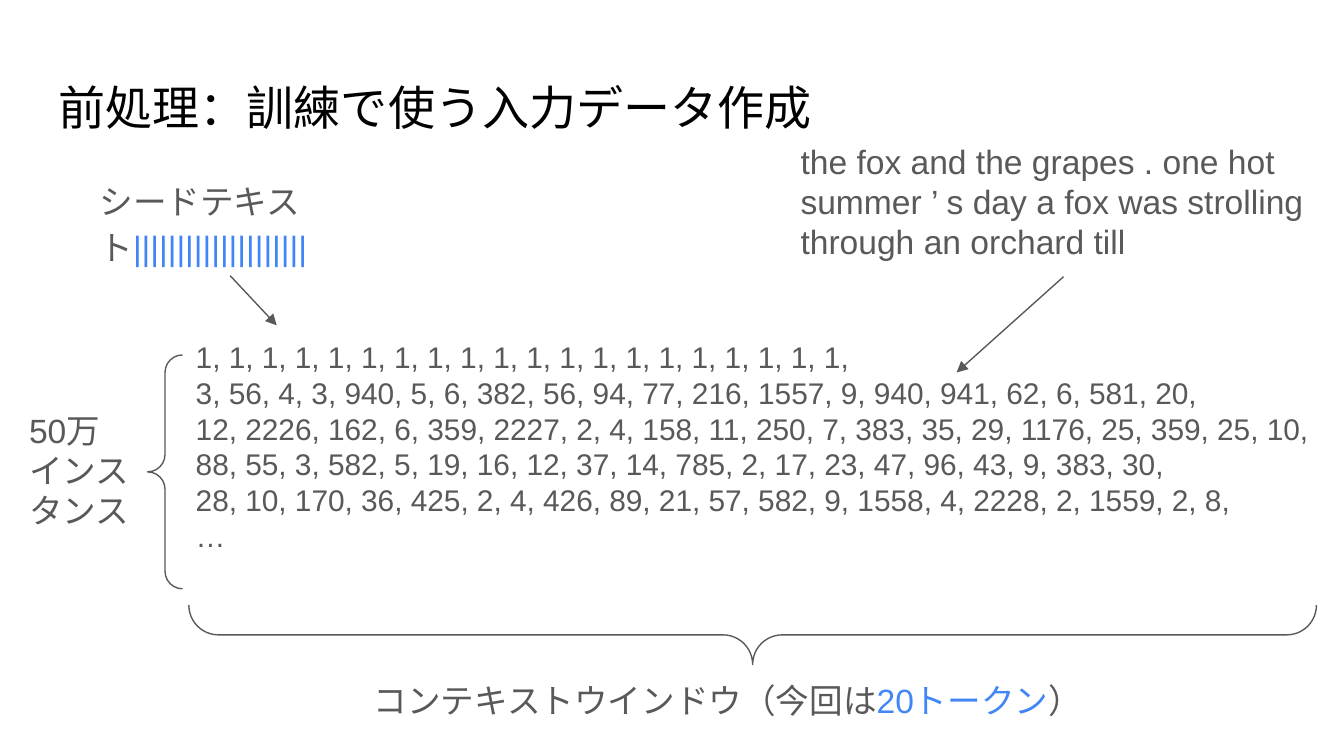
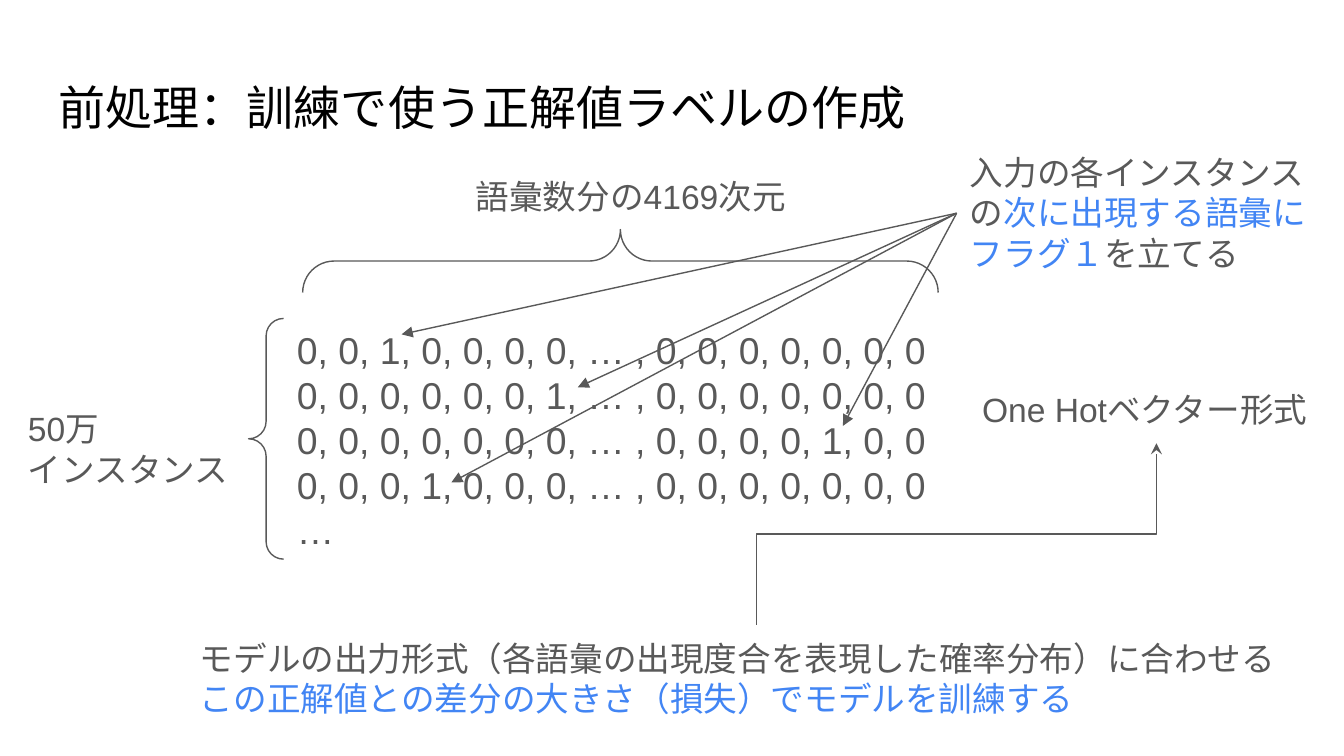
from dataclasses import dataclass

from lxml import etree
from pptx import Presentation
from pptx import util as u
from pptx.dml import color
from pptx.enum import shapes, text
from pptx.oxml import ns


@dataclass(frozen=True)
class Theme:
    font: str = "Arial"
    title_color: str = "000000"
    body_color: str = "595959"
    accent_color: str = "4285F4"
    title_size: float = 25.2
    label_size: float = 18
    tokens_size: float = 16
    one_hot_size: float = 20
    line_width: float = 0.75
    inset: float = 0.25


@dataclass(frozen=True)
class Box:
    left: float
    top: float
    width: float
    height: float

    def lengths(self):
        return [u.Cm(value) for value in (self.left, self.top, self.width, self.height)]

    def point(self, across, down):
        return self.left + across * self.width, self.top + down * self.height


THEME = Theme()
TITLE_BOX = Box(0.86, 1.24, 23.67, 1.6)


def apply_format(target, values):
    for name, value in values.items():
        setattr(target, name, value)


def rgb(value):
    return color.RGBColor.from_string(value)


def write_run(paragraph, wording, size, run_color):
    run = paragraph.add_run()
    run.text = wording
    apply_format(run.font, {"name": THEME.font, "size": u.Pt(size)})
    run.font.color.rgb = rgb(run_color)
    properties = run.font._element
    for tag in ("a:ea", "a:cs"):
        etree.SubElement(properties, ns.qn(tag)).set("typeface", THEME.font)


def format_frame(frame, auto_size):
    margins = dict.fromkeys(("margin_left", "margin_top", "margin_right", "margin_bottom"), u.Cm(THEME.inset))
    apply_format(frame, {
        **margins,
        "word_wrap": True,
        "auto_size": auto_size,
        "vertical_anchor": text.MSO_ANCHOR.TOP,
    })


def add_title(slide, box, wording):
    title = slide.shapes.title
    apply_format(title, dict(zip(("left", "top", "width", "height"), box.lengths())))
    format_frame(title.text_frame, text.MSO_AUTO_SIZE.NONE)
    paragraph = title.text_frame.paragraphs[0]
    paragraph.alignment = text.PP_ALIGN.LEFT
    write_run(paragraph, wording, THEME.title_size, THEME.title_color)


def add_text(slide, box, lines, size=THEME.label_size, spacing=None):
    frame = slide.shapes.add_textbox(*box.lengths()).text_frame
    format_frame(frame, text.MSO_AUTO_SIZE.SHAPE_TO_FIT_TEXT)
    for index, line in enumerate(lines):
        paragraph = frame.add_paragraph() if index else frame.paragraphs[0]
        apply_format(paragraph, {"alignment": text.PP_ALIGN.LEFT, **(spacing or {})})
        runs = [(line, THEME.body_color)] if isinstance(line, str) else line
        for wording, run_color in runs:
            write_run(paragraph, wording, size, run_color)


def format_line(line):
    line.color.rgb = rgb(THEME.body_color)
    line.width = u.Pt(THEME.line_width)


def add_brace(slide, box, rotation=0):
    if rotation:
        center_x, center_y = box.point(0.5, 0.5)
        box = Box(center_x - box.height / 2, center_y - box.width / 2, box.height, box.width)
    brace = slide.shapes.add_shape(shapes.MSO_SHAPE.LEFT_BRACE, *box.lengths())
    brace.rotation = rotation
    brace.shadow.inherit = False
    brace.fill.background()
    format_line(brace.line)
    for index in range(2):
        brace.adjustments[index] = 0.5


def add_arrow(slide, start, end, kind=shapes.MSO_CONNECTOR.STRAIGHT, head="triangle"):
    lengths = [u.Cm(value) for value in (*start, *end)]
    arrow = slide.shapes.add_connector(kind, *lengths)
    format_line(arrow.line)
    arrow.line._get_or_add_ln().append(
        etree.Element(ns.qn("a:tailEnd"), type=head, w="med", len="med"))
    etree.SubElement(arrow._element.spPr, ns.qn("a:effectLst"))
    return arrow


def add_rising_elbow(slide, start, end):
    center_x, center_y = (start[0] + end[0]) / 2, (start[1] + end[1]) / 2
    half_run, half_rise = (end[0] - start[0]) / 2, (start[1] - end[1]) / 2
    elbow = add_arrow(
        slide,
        (center_x - half_rise, center_y - half_run),
        (center_x + half_rise, center_y + half_run),
        shapes.MSO_CONNECTOR.ELBOW,
        "stealth",
    )
    elbow._element.spPr.xfrm.set("rot", str(270 * 60000))


def add_matrix(slide, box, rows, size, brace_offset, brace_height, count_box):
    add_text(slide, box, rows, size)
    brace_width = 0.66
    add_brace(slide, Box(box.left - brace_width, box.top + brace_offset, brace_width, brace_height))
    add_text(slide, count_box, ["50万", "インスタンス"])


def add_input_slide(slide):
    add_title(slide, TITLE_BOX, "前処理：訓練で使う入力データ作成")
    tokens = Box(3.45, 6.15, 21.79, 4.62)
    add_matrix(slide, tokens, [
        ", ".join(["1"] * 20) + ",",
        "3, 56, 4, 3, 940, 5, 6, 382, 56, 94, 77, 216, 1557, 9, 940, 941, 62, 6, 581, 20,",
        "12, 2226, 162, 6, 359, 2227, 2, 4, 158, 11, 250, 7, 383, 35, 29, 1176, 25, 359, 25, 10,",
        "88, 55, 3, 582, 5, 19, 16, 12, 37, 14, 785, 2, 17, 23, 47, 96, 43, 9, 383, 30,",
        "28, 10, 170, 36, 425, 2, 4, 426, 89, 21, 57, 582, 9, 1558, 4, 2228, 2, 1559, 2, 8,",
        "…",
    ], THEME.tokens_size, 0.56, 4.42, Box(0.3, 7.49, 2.97, 2.82))

    add_brace(slide, Box(3.57, 11.44, 21.31, 1.12), rotation=270)
    add_text(slide, Box(6.81, 12.6, 13.94, 1.27), [[
        ("コンテキストウインドウ（今回は", THEME.body_color),
        ("20トークン", THEME.accent_color),
        ("）", THEME.body_color),
    ]])

    seed = Box(1.63, 3.05, 5.44, 2.16)
    add_text(slide, seed, [[
        ("シードテキスト", THEME.body_color),
        ("|" * 20, THEME.accent_color),
    ]], spacing={"line_spacing": 1.15, "space_after": u.Pt(12)})
    fable = Box(14.88, 2.41, 10.44, 2.82)
    add_text(slide, fable, [
        "the fox and the grapes . one hot summer ’ s day a fox was strolling through an orchard till",
    ])
    add_arrow(slide, seed.point(0.5, 1), (5.23, tokens.top))
    add_arrow(slide, fable.point(0.5, 1), (18.08, 7.04))


def one_hot_row(flag):
    digits = ["1" if index == flag else "0" for index in range(14)]
    return ", ".join(digits[:7] + ["… "] + digits[7:])


def add_label_slide(slide):
    add_title(slide, TITLE_BOX, "前処理：訓練で使う正解値ラベルの作成")
    vectors = Box(5.36, 5.94, 15.11, 4.8)
    rows = [one_hot_row(flag) for flag in (2, 6, 11, 3)]
    add_matrix(slide, vectors, rows + ["…"], THEME.one_hot_size, 0.08, 4.55,
               Box(0.28, 7.47, 4.42, 2.06))

    add_brace(slide, Box(5.72, 4.34, 12.01, 1.19), rotation=90)
    add_text(slide, Box(8.74, 3.07, 7.52, 1.27), ["語彙数分の4169次元"])

    output = Box(3.53, 11.81, 21.54, 2.06)
    add_text(slide, output, [
        "モデルの出力形式（各語彙の出現度合を表現した確率分布）に合わせる",
        [("この正解値との差分の大きさ（損失）でモデルを訓練する", THEME.accent_color)],
    ])
    one_hot = Box(18.31, 7.11, 7.09, 1.27)
    add_text(slide, one_hot, ["One Hotベクター形式"])
    add_rising_elbow(slide, output.point(0.5, 0), one_hot.point(0.5, 1))

    flag_note = Box(18.08, 2.62, 7.32, 2.82)
    add_text(slide, flag_note, [[
        ("入力の各インスタンスの", THEME.body_color),
        ("次に出現する語彙にフラグ１", THEME.accent_color),
        ("を立てる", THEME.body_color),
    ]])
    for across, down in ((2.23, 0.38), (5.56, 1.38), (10.57, 2.11), (3.17, 3.18)):
        add_arrow(slide, flag_note.point(0, 0.5), (vectors.left + across, vectors.top + down))


def main():
    presentation = Presentation()
    apply_format(presentation, {"slide_width": u.Cm(25.4), "slide_height": u.Cm(14.29)})
    title_only = presentation.slide_layouts[5]
    for build in (add_input_slide, add_label_slide):
        build(presentation.slides.add_slide(title_only))
    presentation.save("out.pptx")


if __name__ == "__main__":
    main()
